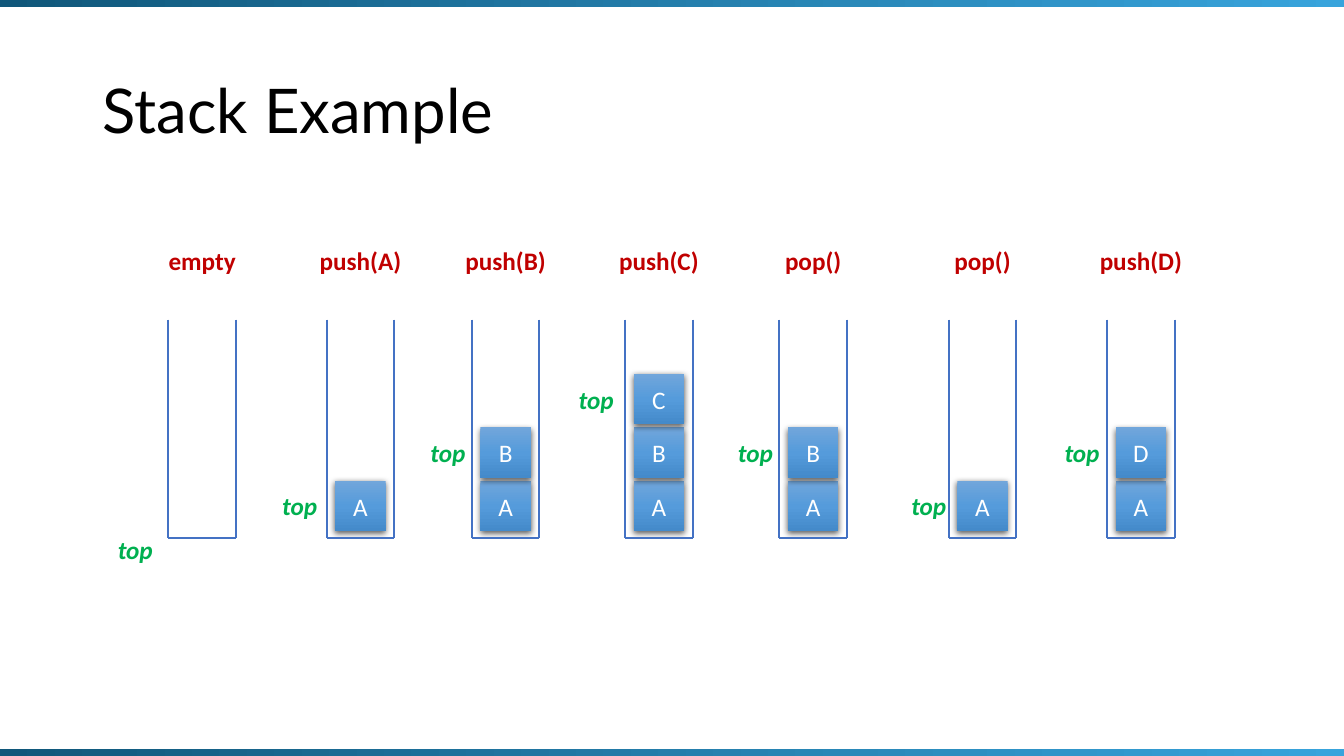
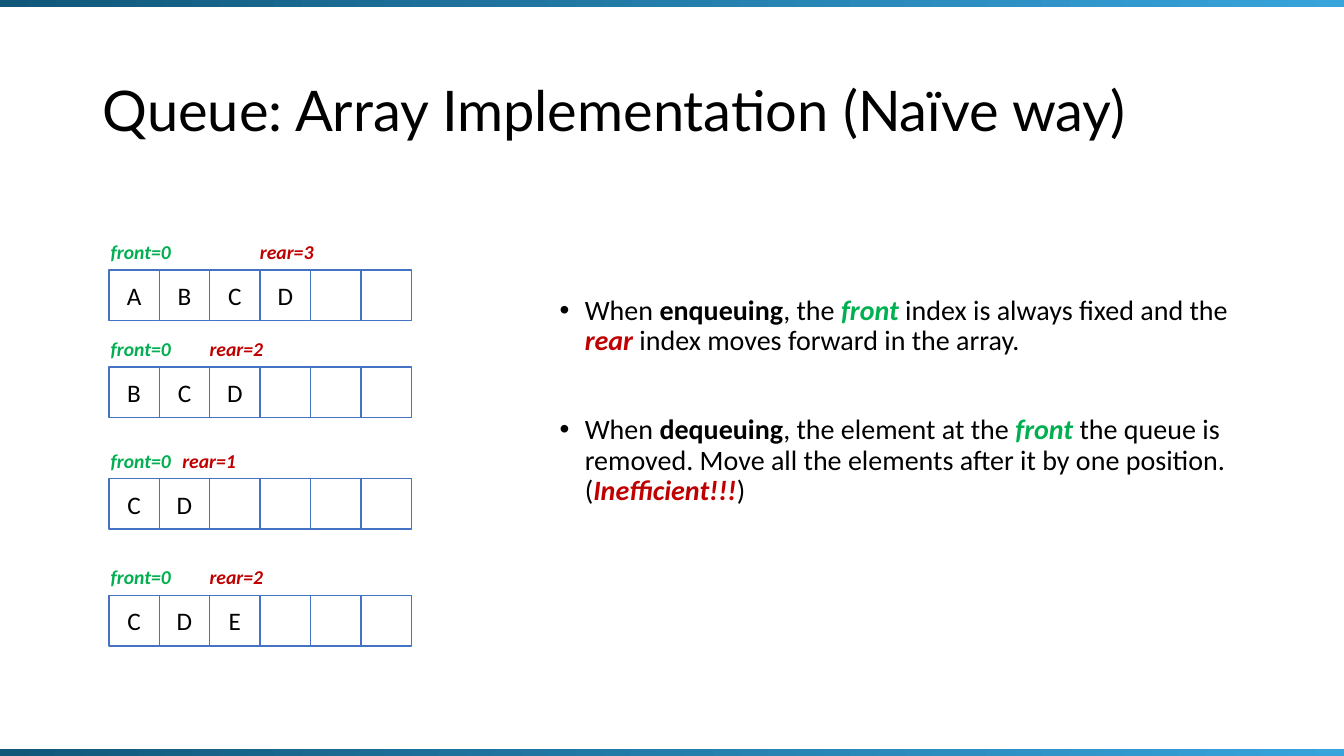
import pptx
import pptx.util
import pptx.dml.color
import pptx.enum.shapes
import pptx.enum.text
import pptx.oxml

inch, pt = pptx.util.Inches, pptx.util.Pt
rgb = pptx.dml.color.RGBColor.from_string
align = pptx.enum.text.PP_ALIGN
middle = pptx.enum.text.MSO_ANCHOR.MIDDLE
rect = pptx.enum.shapes.MSO_SHAPE.RECTANGLE
straight = pptx.enum.shapes.MSO_CONNECTOR.STRAIGHT
space = 'xmlns:a="http://schemas.openxmlformats.org/drawingml/2006/main"'


class Theme:
    head, font = "Lato", "Calibri"
    black, white = "000000", "FFFFFF"
    green, red, line = "00B050", "C00000", "4472C4"
    band = ((0, "10577A"), (100, "38A4DC"))
    node = ((0, "71A6DB"), (50, "559BDB"), (100, "448ACA"))
    text, body, small = 18, 20, 14
    wide, high, strip, cell = 13.33, 7.5, 0.08, 0.5


def label(slide, text, x, y, w, size, ink, slant=True, side=align.LEFT):
    """Add a bold one-line caption."""
    frame = slide.shapes.add_textbox(
        inch(x), inch(y), inch(w), inch(0.4 if size > 14 else 0.34)).text_frame
    frame.word_wrap = False
    par = frame.paragraphs[0]
    par.text, par.alignment = text, side
    font = par.font
    font.name, font.size, font.bold, font.italic = Theme.font, pt(size), True, slant
    font.color.rgb = rgb(ink)


def block(slide, x, y, w, h, stops=None, angle=0, text="", ink=Theme.black):
    """Add a rectangle: a gradient when stops are given, else white and outlined."""
    shape = slide.shapes.add_shape(rect, inch(x), inch(y), inch(w), inch(h))
    shape.shadow.inherit = False
    if stops:
        marks = "".join(f'<a:gs pos="{at * 1000}"><a:srgbClr val="{tone}"/></a:gs>'
                        for at, tone in stops)
        shape._element.spPr.prstGeom.addnext(pptx.oxml.parse_xml(
            f'<a:gradFill {space} rotWithShape="1"><a:gsLst>{marks}</a:gsLst>'
            f'<a:lin ang="{angle * 60000}" scaled="0"/></a:gradFill>'))
        shape.line.fill.background()
    else:
        shape.fill.solid()
        shape.fill.fore_color.rgb = rgb(Theme.white)
        shape.line.color.rgb = rgb(Theme.line)
        shape.line.width = pt(1)
    if text:
        shape.text_frame.vertical_anchor = middle
        par = shape.text_frame.paragraphs[0]
        par.text, par.alignment = text, align.CENTER
        par.font.name, par.font.size = Theme.font, pt(Theme.text)
        par.font.color.rgb = rgb(ink)
    return shape


deck = pptx.Presentation()
deck.slide_width, deck.slide_height = inch(Theme.wide), inch(Theme.high)

# Titles and bands on both slides
pages = []
for name, size, layout in (("Stack Example", 44, 5),
                           ("Queue: Array Implementation (Naïve way)", 40, 1)):
    slide = deck.slides.add_slide(deck.slide_layouts[layout])
    title = slide.shapes.title
    title.left, title.top, title.width, title.height = map(inch, (0.92, 0.4, 11.5, 1.45))
    title.text_frame.vertical_anchor = middle
    title.text_frame.auto_size = pptx.enum.text.MSO_AUTO_SIZE.NONE
    par = title.text_frame.paragraphs[0]
    par.text, par.alignment, par.line_spacing = name, align.LEFT, 0.9
    par.font.name, par.font.size = Theme.head, pt(size)
    par.font.color.rgb = rgb(Theme.black)
    for y in (-0.01, Theme.high - 0.07):
        block(slide, 0, y, Theme.wide, Theme.strip, Theme.band)
    pages.append(slide)
stack, queue = pages

# Stack: operation, left edge of the tube, gap to the "top" caption, items
rim, floor, tube, step = 3.17, 5.34, 0.67, 0.53
states = (("empty", 1.67, 0.6, ""), ("push(A)", 3.24, 0.54, "A"),
          ("push(B)", 4.68, 0.51, "AB"), ("push(C)", 6.2, 0.56, "ABC"),
          ("pop()", 7.73, 0.51, "AB"), ("pop()", 9.41, 0.47, "A"),
          ("push(D)", 10.98, 0.52, "AD"))
for name, left, gap, items in states:
    for row, item in enumerate(items):
        node = block(stack, left + (tube - Theme.cell) / 2, 4.77 - row * step,
                     Theme.cell, Theme.cell, Theme.node, 90, item, Theme.white)
        node._element.spPr.find(pptx.oxml.ns.qn("a:effectLst")).append(
            pptx.oxml.parse_xml(
                f'<a:outerShdw {space} blurRad="{pt(4.5)}" dist="{pt(1.5)}" '
                'dir="5400000" algn="ctr" rotWithShape="0"><a:srgbClr val="000000">'
                '<a:alpha val="63000"/></a:srgbClr></a:outerShdw>'))

    # Open tube: left wall, floor, right wall
    right = left + tube
    group = stack.shapes.add_group_shape()
    for ends in ((left, rim, left, floor), (left, floor, right, floor),
                 (right, rim, right, floor)):
        wall = group.shapes.add_connector(straight, *map(inch, ends))
        wall.line.color.rgb, wall.line.width = rgb(Theme.line), pt(1.5)
        wall._element.spPr.append(pptx.oxml.parse_xml(f"<a:effectLst {space}/>"))

    mark = 4.82 - (len(items) - 1) * step if items else 5.25
    label(stack, "top", left - gap, mark, 0.56, Theme.text, Theme.green)
    label(stack, name, left + tube / 2 - 0.51, 2.38, 1.02, Theme.text, Theme.red,
          False, align.CENTER)

# Queue: top of each array and its items
first, count = 1.08, 6
for top, items in ((2.68, "ABCD"), (3.64, "BCD"), (4.75, "CD"), (5.91, "CDE")):
    for col, item in enumerate(items.ljust(count)):
        block(queue, first + col * Theme.cell, top, Theme.cell, Theme.cell,
              text=item.strip())
    rear = len(items) - 1
    label(queue, "front=0", 1, top - 0.35, 0.8, Theme.small, Theme.green)
    label(queue, f"rear={rear}", max(first - 0.1 + rear * Theme.cell, 1.71),
          top - 0.35, 0.74, Theme.small, Theme.red)

# Queue: notes, each run with its colour, weight and slant
plain, strong = (Theme.black, False, False), (Theme.black, True, False)
good, bad = (Theme.green, True, True), (Theme.red, True, True)
points = (
    (10, (("When ", plain), ("enqueuing", strong), (", the ", plain), ("front", good),
          (" index is always fixed and the ", plain), ("rear", bad),
          (" index moves forward in the array.", plain))),
    (42, (("When ", plain), ("dequeuing", strong), (", the element at the ", plain),
          ("front", good),
          (" the queue is removed. Move all the elements after it by one position. (",
           plain), ("Inefficient!!!", bad), (")", plain))))
body = queue.placeholders[1]
body.left, body.top, body.width, body.height = map(inch, (5.45, 2, 6.96, 4.76))
frame = body.text_frame
frame.margin_top = inch(0.94)
frame.auto_size = pptx.enum.text.MSO_AUTO_SIZE.NONE
for place, (before, runs) in enumerate(points):
    par = frame.add_paragraph() if place else frame.paragraphs[0]
    par.line_spacing, par.space_before = 0.9, pt(before)
    par.font.name, par.font.size = Theme.font, pt(Theme.body)
    props = par._p.get_or_add_pPr()
    props.set("marL", str(inch(0.25)))
    props.set("indent", str(inch(-0.25)))
    for text, (ink, bold, slant) in runs:
        run = par.add_run()
        run.text = text
        run.font.bold, run.font.italic = bold, slant
        run.font.color.rgb = rgb(ink)

deck.save("out.pptx")
